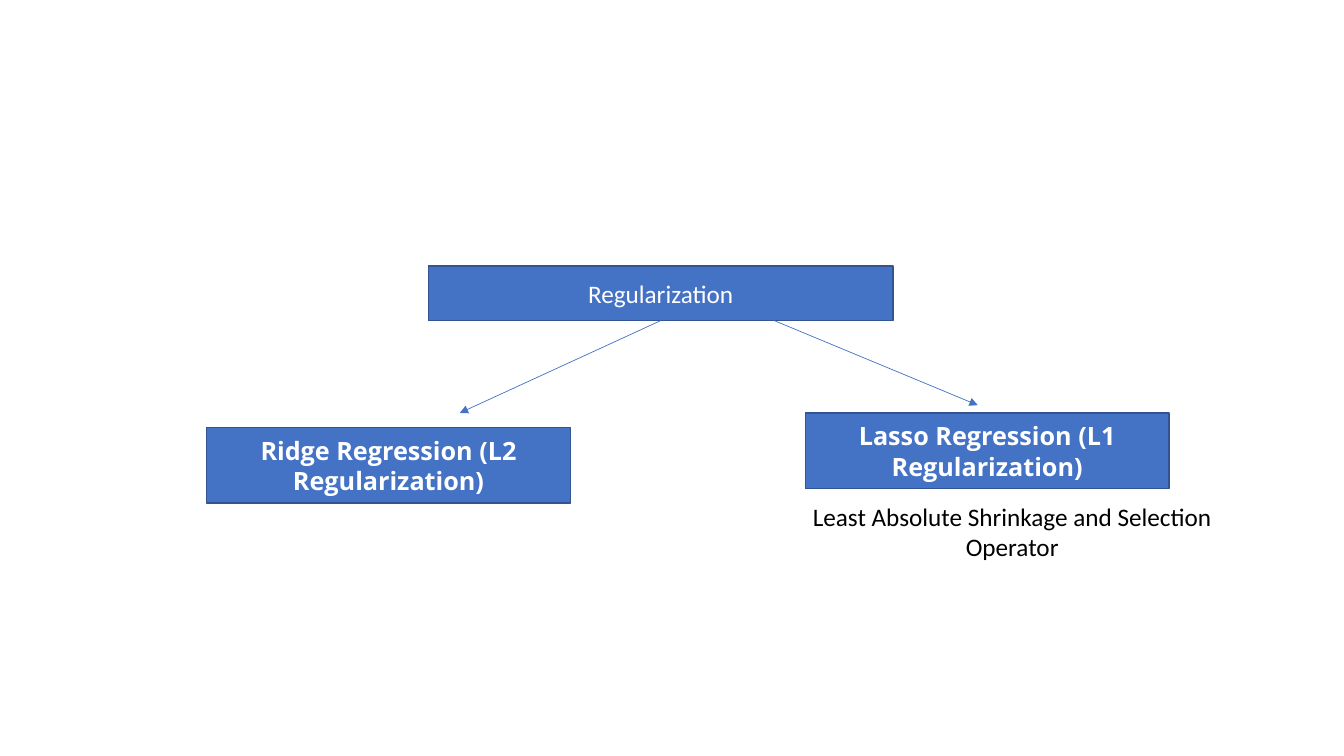
"""Build a slide showing the two kinds of regularization."""
from lxml.etree import SubElement
from pptx import Presentation
from pptx.dml.color import RGBColor
from pptx.enum.shapes import MSO_CONNECTOR, MSO_SHAPE
from pptx.enum.text import MSO_ANCHOR, MSO_AUTO_SIZE, PP_ALIGN
from pptx.oxml.ns import qn
from pptx.util import Pt

BLUE = RGBColor(0x44, 0x72, 0xC4)
DARK_BLUE = RGBColor(0x32, 0x54, 0x91)
WHITE = RGBColor(0xFF, 0xFF, 0xFF)
BLACK = RGBColor(0x00, 0x00, 0x00)


def write(shape, text, font, color, bold=False):
    shape.text_frame.word_wrap = True
    para = shape.text_frame.paragraphs[0]
    para.alignment = PP_ALIGN.CENTER
    span = para.add_run()
    span.text = text
    span.font.name = font
    span.font.size = Pt(18)
    span.font.bold = bold
    span.font.color.rgb = color


deck = Presentation()
deck.slide_width, deck.slide_height = Pt(960), Pt(540)
page = deck.slides.add_slide(deck.slide_layouts[6])

boxes = [
    (306, 190, 332, 39, "Regularization", "Calibri", False),
    (147.6, 305.4, 260, 54, "Ridge Regression (L2 Regularization)", "Open Sans", True),
    (575.2, 295, 260, 54, "Lasso Regression (L1 Regularization)", "Open Sans", True),
]
for left, top, width, height, text, font, bold in boxes:
    box = page.shapes.add_shape(MSO_SHAPE.RECTANGLE, Pt(left), Pt(top), Pt(width), Pt(height))
    box.shadow.inherit = False
    box.fill.solid()
    box.fill.fore_color.rgb = BLUE
    box.line.color.rgb = DARK_BLUE
    box.line.width = Pt(1)
    box.text_frame.vertical_anchor = MSO_ANCHOR.MIDDLE
    write(box, text, font, WHITE, bold)

arrows = [(472, 229, 328.4, 295), (553, 229, 698.4, 289.4)]
for ends in arrows:
    arrow = page.shapes.add_connector(MSO_CONNECTOR.STRAIGHT, *map(Pt, ends))
    arrow.line.color.rgb = BLUE
    arrow.line.width = Pt(0.5)
    SubElement(arrow.line._get_or_add_ln(), qn("a:tailEnd"), type="triangle")
    SubElement(arrow._element.spPr, qn("a:effectLst"))

caption = page.shapes.add_textbox(Pt(553), Pt(354.2), Pt(340), Pt(51))
write(caption, "Least Absolute Shrinkage and Selection Operator", "Calibri", BLACK)
caption.text_frame.auto_size = MSO_AUTO_SIZE.SHAPE_TO_FIT_TEXT

deck.save("out.pptx")
